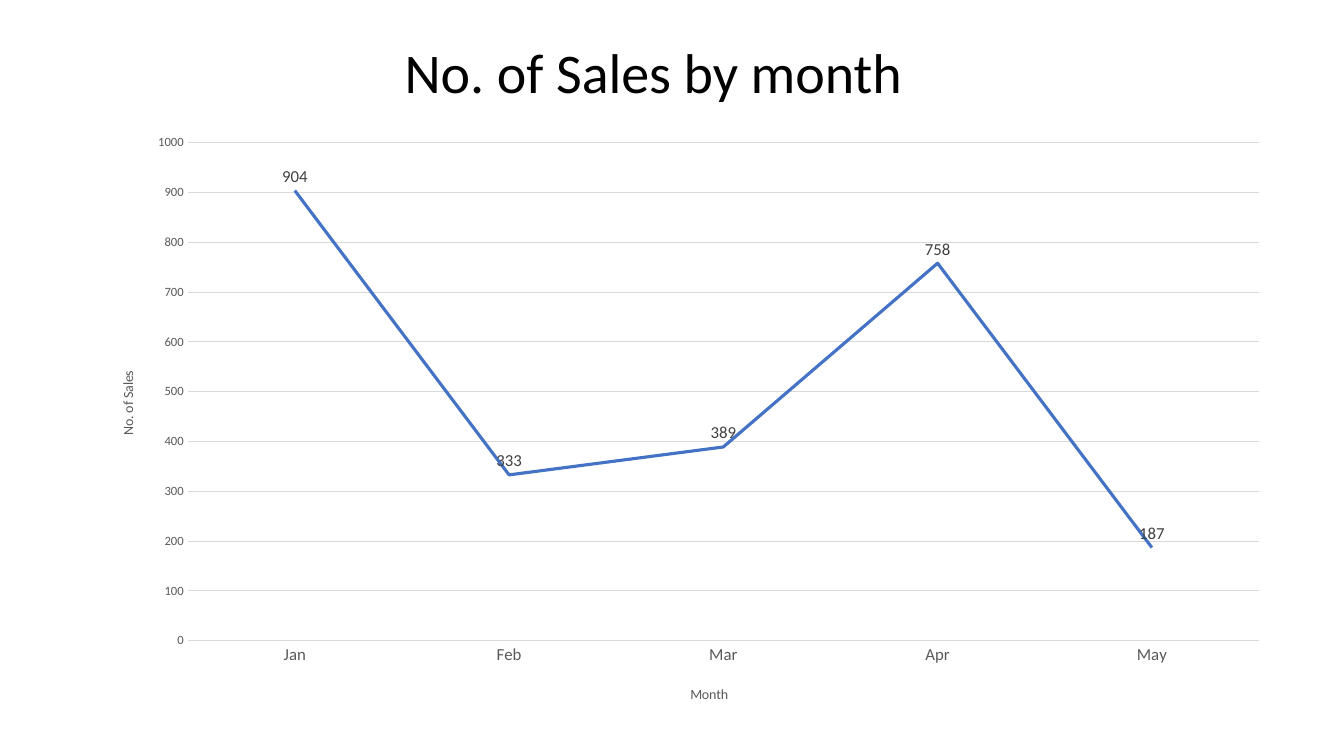
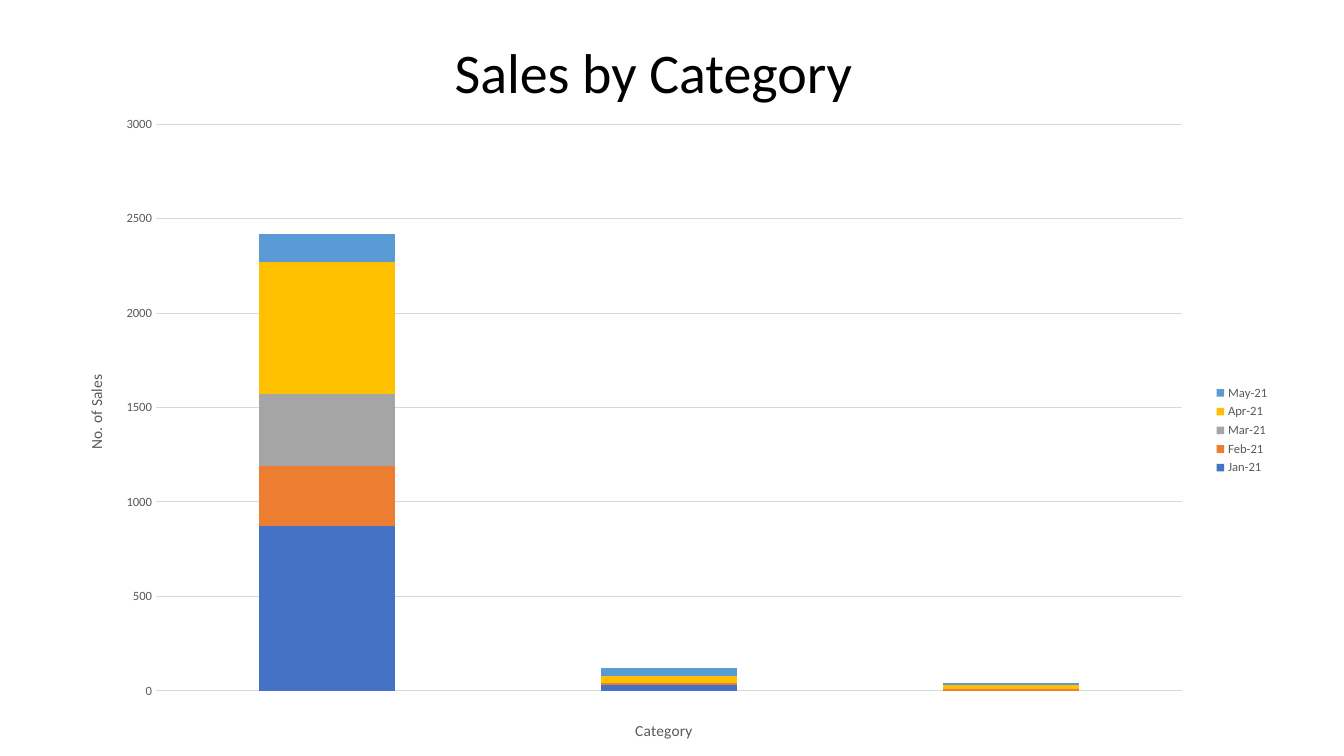
"""Build a two-slide sales report with a monthly line chart and a stacked category chart."""
from lxml import etree
from pptx import Presentation
from pptx import util as u
from pptx.chart.data import CategoryChartData
from pptx.dml.color import RGBColor
from pptx.enum import chart as ce
from pptx.enum import text
from pptx.oxml.ns import qn

FONT = "Calibri"
BLACK, GREY, DARK_GREY, GRID = "000000", "595959", "404040", "D9D9D9"
BLUE, ORANGE, SILVER, GOLD, SKY = "4472C4", "ED7D31", "A5A5A5", "FFC000", "5B9BD5"


def rgb(hex_colour):
    return RGBColor.from_string(hex_colour)


def style_font(font, size, colour):
    font.name = FONT
    font.size = u.Pt(size)
    font.bold = False
    font.color.rgb = rgb(colour)


def style_line(line, colour, width):
    line.color.rgb = rgb(colour)
    line.width = u.Pt(width)


def set_layout(parent, index, **fractions):
    for old in parent.findall(qn("c:layout")):
        parent.remove(old)
    layout = etree.Element(qn("c:layout"))
    manual = etree.SubElement(layout, qn("c:manualLayout"))
    if "w" in fractions:
        etree.SubElement(manual, qn("c:layoutTarget")).set("val", "inner")
    for side in "xy":
        etree.SubElement(manual, qn(f"c:{side}Mode")).set("val", "edge")
    for key, fraction in fractions.items():
        etree.SubElement(manual, qn(f"c:{key}")).set("val", str(fraction))
    parent.insert(index, layout)


def title_axis(axis, wording, size, x, y, rotation=0):
    axis.has_title = True
    frame = axis.axis_title.text_frame
    frame.text = wording
    style_font(frame.paragraphs[0].font, size, GREY)
    element = axis.axis_title.element
    element.find(".//" + qn("a:bodyPr")).set("rot", str(rotation * 60000))
    set_layout(element, 1, x=x, y=y)


def style_value_axis(axis, top, step, title_size):
    axis.minimum_scale, axis.maximum_scale, axis.major_unit = 0, top, step
    axis.major_tick_mark = axis.minor_tick_mark = ce.XL_TICK_MARK.NONE
    axis.format.line.fill.background()
    axis.has_major_gridlines = True
    style_line(axis.major_gridlines.format.line, GRID, 0.75)
    style_font(axis.tick_labels.font, 9, GREY)
    title_axis(axis, "No. of Sales", title_size, 0.02, 0.41, -90)


def add_titled_slide(deck, heading):
    slide = deck.slides.add_slide(deck.slide_layouts[5])
    title = slide.shapes.title
    title.left, title.top = u.Cm(2.33), u.Cm(0.64)
    title.width, title.height = u.Cm(28.27), u.Cm(2.51)
    title.text_frame.text = heading
    title.text_frame.vertical_anchor = text.MSO_ANCHOR.MIDDLE
    paragraph = title.text_frame.paragraphs[0]
    paragraph.alignment = text.PP_ALIGN.CENTER
    paragraph.line_spacing = 0.9
    style_font(paragraph.font, 40, BLACK)
    return slide


def add_sales_chart(slide, kind, place, categories, series, plot_size):
    sales = CategoryChartData()
    sales.categories = categories
    for name, values in series:
        sales.add_series(name, values)
    chart = slide.shapes.add_chart(kind, *map(u.Cm, place), sales).chart
    chart.has_title = False
    chart.has_legend = False
    style_font(chart.font, 10, BLACK)
    chart.plots[0].vary_by_categories = False
    width, height = plot_size
    plot_area = chart.element.find(".//" + qn("c:plotArea"))
    set_layout(plot_area, 0, x=0.08, y=0.03, w=width, h=height)
    return chart


def add_monthly_slide(deck):
    slide = add_titled_slide(deck, "No. of Sales by month")
    chart = add_sales_chart(
        slide, ce.XL_CHART_TYPE.LINE, (2.33, 3.15, 30, 14.94),
        ["Jan", "Feb", "Mar", "Apr", "May"],
        [("Series 1", (904, 333, 389, 758, 187))], (0.9, 0.84))
    style_value_axis(chart.value_axis, 1000, 100, 10)
    months = chart.category_axis
    months.major_tick_mark = months.minor_tick_mark = ce.XL_TICK_MARK.NONE
    style_line(months.format.line, GRID, 0.75)
    style_font(months.tick_labels.font, 12, GREY)
    title_axis(months, "Month", 10, 0.5, 0.94)
    trend = chart.plots[0].series[0]
    trend.smooth = False
    trend.marker.style = ce.XL_MARKER_STYLE.NONE
    style_line(trend.format.line, BLUE, 2.25)
    labels = trend.data_labels
    labels.show_value = True
    labels.position = ce.XL_LABEL_POSITION.ABOVE
    style_font(labels.font, 12, DARK_GREY)


def add_category_slide(deck):
    slide = add_titled_slide(deck, "Sales by Category")
    chart = add_sales_chart(
        slide, ce.XL_CHART_TYPE.COLUMN_STACKED, (1.47, 2.64, 30.78, 16.41),
        ["1", "2", "3"],
        [("Jan-21", (870, 30, 0)), ("Feb-21", (320, 10, 10)),
         ("Mar-21", (380, 0, 0)), ("Apr-21", (700, 40, 20)),
         ("May-21", (150, 40, 10))], (0.84, 0.87))
    style_value_axis(chart.value_axis, 3000, 500, 11)
    title_axis(chart.category_axis, "Category", 11, 0.47, 0.94)
    chart.category_axis.visible = False
    stack = chart.plots[0]
    stack.gap_width, stack.overlap = 150, 100
    for month, colour in zip(stack.series, (BLUE, ORANGE, SILVER, GOLD, SKY)):
        month.format.fill.solid()
        month.format.fill.fore_color.rgb = rgb(colour)
    chart.has_legend = True
    chart.legend.position = ce.XL_LEGEND_POSITION.RIGHT
    chart.legend.include_in_layout = False
    style_font(chart.legend.font, 9, GREY)


def main():
    deck = Presentation()
    deck.slide_width, deck.slide_height = u.Cm(33.87), u.Cm(19.05)
    add_monthly_slide(deck)
    add_category_slide(deck)
    deck.save("out.pptx")


main()
